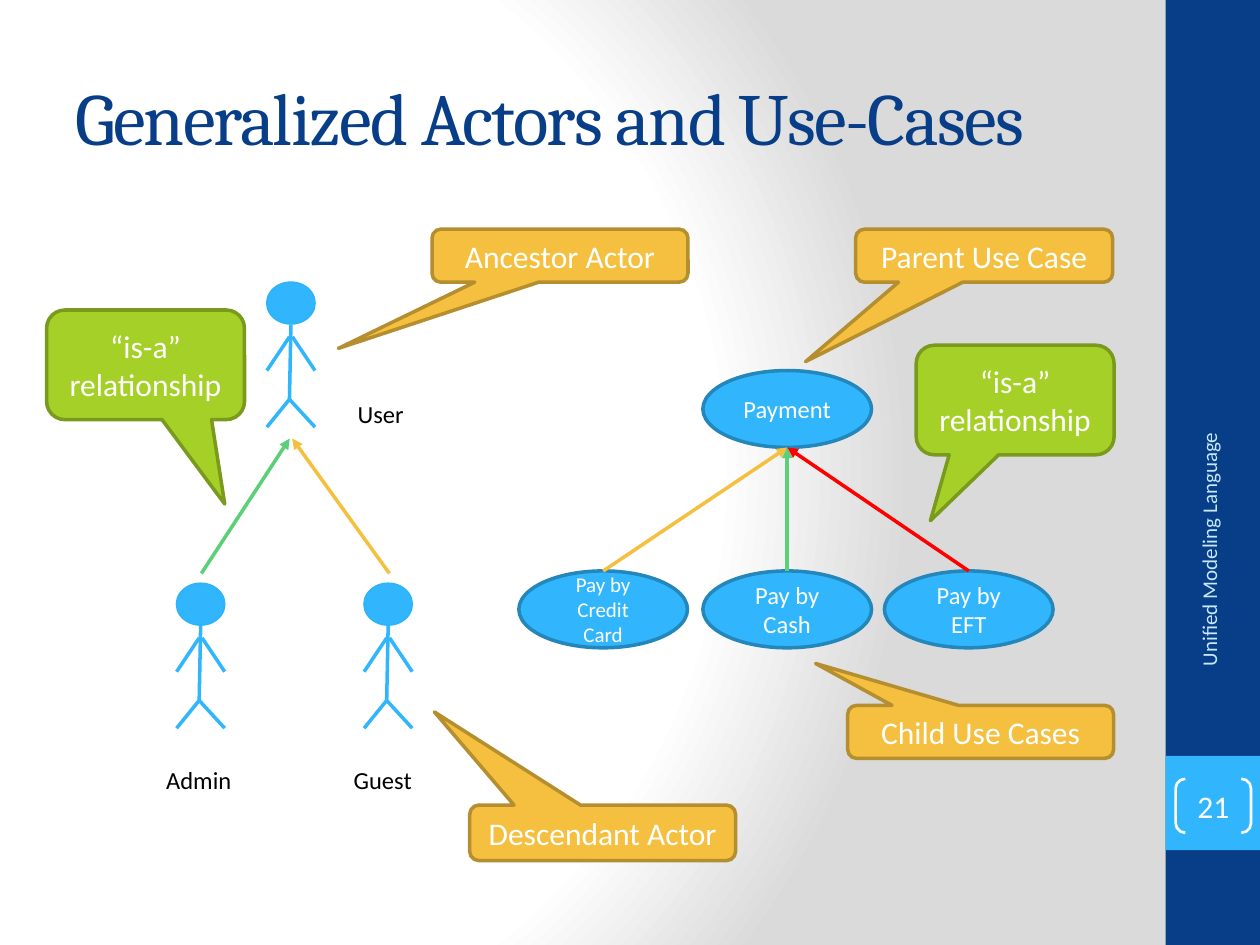
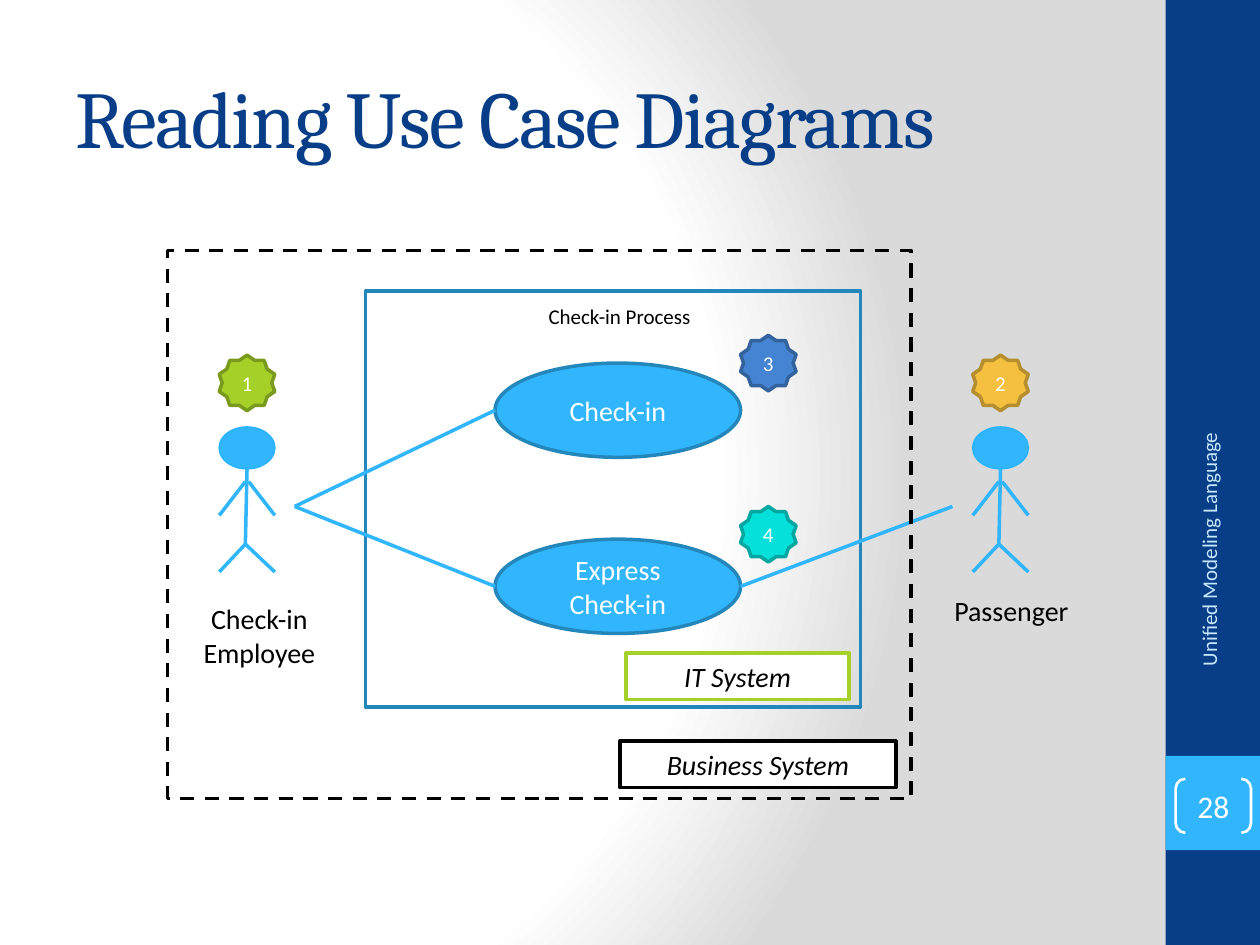
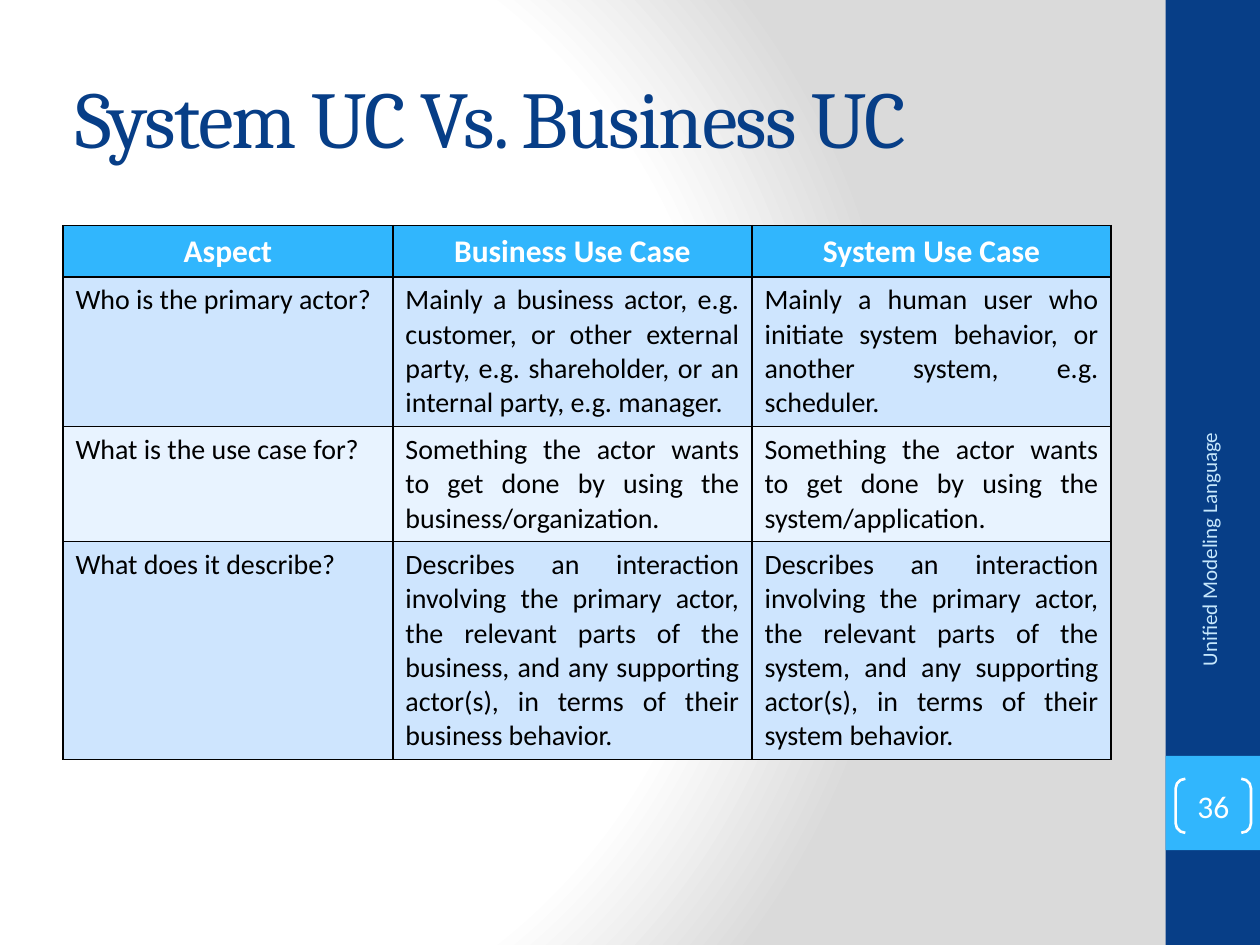
"""Build three slides about use case diagrams."""
from dataclasses import dataclass
from typing import Any, NamedTuple, Optional

import lxml.etree
import pptx
import pptx.dml.color
import pptx.enum.dml
import pptx.enum.shapes
import pptx.enum.text
import pptx.oxml
import pptx.oxml.ns
import pptx.util

RGBColor = pptx.dml.color.RGBColor
Cm = pptx.util.Cm
Forms = pptx.enum.shapes.MSO_SHAPE
Align = pptx.enum.text.PP_ALIGN
Anchor = pptx.enum.text.MSO_ANCHOR
qn = pptx.oxml.ns.qn

NAVY = RGBColor(0x07, 0x3E, 0x87)
SKY = RGBColor(0x31, 0xB6, 0xFD)
SKY_EDGE = RGBColor(0x24, 0x87, 0xBB)
HEAD_EDGE = RGBColor(0x2B, 0xB4, 0xFC)
PALE_BLUE = RGBColor(0xC6, 0xE7, 0xFC)
GOLD = RGBColor(0xF5, 0xC0, 0x40)
GOLD_EDGE = RGBColor(0xB5, 0x8E, 0x2F)
LIME = RGBColor(0xA5, 0xD0, 0x28)
LIME_EDGE = RGBColor(0x7A, 0x9A, 0x1E)
BLUE = RGBColor(0x45, 0x84, 0xD3)
BLUE_EDGE = RGBColor(0x33, 0x62, 0x9C)
TEAL = RGBColor(0x05, 0xE0, 0xDB)
TEAL_EDGE = RGBColor(0x04, 0xA6, 0xA2)
GREEN = RGBColor(0x5B, 0xD0, 0x78)
RED = RGBColor(0xFF, 0x00, 0x00)
BLACK = RGBColor(0x00, 0x00, 0x00)
WHITE = RGBColor(0xFF, 0xFF, 0xFF)
ROW_DARK = RGBColor(0xCE, 0xE5, 0xFE)
ROW_LIGHT = RGBColor(0xE8, 0xF3, 0xFF)

BODY_FONT = "Calibri"
TITLE_FONT = "Cambria"

BACKDROP = f"""<a:gradFill {pptx.oxml.ns.nsdecls('a')} rotWithShape="1"><a:gsLst>
<a:gs pos="0"><a:srgbClr val="FFFFFF"/></a:gs>
<a:gs pos="75000"><a:srgbClr val="FFFFFF"/></a:gs>
<a:gs pos="100000"><a:srgbClr val="DADADA"/></a:gs></a:gsLst>
<a:path path="circle"><a:fillToRect l="20000" t="50000" r="100000" b="50000"/></a:path>
</a:gradFill>"""


class Box(NamedTuple):
    """Left, top, width and height in centimetres."""

    left: float
    top: float
    width: float
    height: float


class Paint(NamedTuple):
    """Fill and outline of a shape."""

    fill: Optional[RGBColor] = None
    edge: Optional[RGBColor] = None
    weight: float = 2


@dataclass(frozen=True)
class Lettering:
    """Look of a piece of text."""

    size: float
    color: RGBColor = WHITE
    align: Any = Align.CENTER
    anchor: Any = Anchor.MIDDLE
    font: str = BODY_FONT
    bold: bool = False
    italic: bool = False


@dataclass(frozen=True)
class Figure:
    """A preset shape, or a text box when it has no form."""

    box: Box
    form: Any = None
    paint: Paint = Paint()
    text: str = ""
    lettering: Lettering = Lettering(16)
    adjustments: tuple[float, ...] = ()


@dataclass(frozen=True)
class Line:
    """A straight line between two points in centimetres."""

    start: tuple[float, float]
    end: tuple[float, float]
    color: RGBColor = SKY
    arrow: bool = False


class Actor(NamedTuple):
    """Place and width of a stick figure."""

    left: float
    top: float
    width: float


SKY_PAINT = Paint(SKY, SKY_EDGE)
GOLD_PAINT = Paint(GOLD, GOLD_EDGE)
LIME_PAINT = Paint(LIME, LIME_EDGE)
CALLOUT_TEXT = Lettering(18)
BADGE_TEXT = Lettering(12)
USE_CASE_TEXT = Lettering(14)
ACTOR_NAME = Lettering(14, BLACK, Align.LEFT, Anchor.TOP)
CENTERED_NAME = Lettering(16, BLACK, anchor=Anchor.TOP)
SYSTEM_NAME = Lettering(16, BLACK, italic=True)
SIDE_TEXT = Lettering(12, PALE_BLUE, Align.RIGHT)
HEADER_TEXT = Lettering(18, bold=True)
ASPECT_TEXT = Lettering(16, BLACK, Align.LEFT, Anchor.TOP)
ANSWER_TEXT = Lettering(16, BLACK, Align.JUSTIFY, Anchor.TOP)


def set_format(target: Any, values: dict[str, Any]) -> None:
    """Set each named attribute of the target."""
    for name, value in values.items():
        setattr(target, name, value)


def write(text_frame: Any, text: str, lettering: Lettering) -> Any:
    """Write one paragraph and return its run."""
    paragraph = text_frame.paragraphs[0]
    paragraph.alignment = lettering.align
    run = paragraph.add_run()
    run.text = text
    set_format(run.font, {
        "name": lettering.font,
        "size": pptx.util.Pt(lettering.size),
        "bold": lettering.bold,
        "italic": lettering.italic,
    })
    run.font.color.rgb = lettering.color
    return run


def draw_figure(slide: Any, figure: Figure) -> Any:
    """Draw a shape or text box with its text."""
    place = [Cm(length) for length in figure.box]
    if figure.form is None:
        shape = slide.shapes.add_textbox(*place)
    else:
        shape = slide.shapes.add_shape(figure.form, *place)
        shape.shadow.inherit = False
    for index, value in enumerate(figure.adjustments):
        shape.adjustments[index] = value
    if figure.paint.fill is None:
        shape.fill.background()
    else:
        shape.fill.solid()
        shape.fill.fore_color.rgb = figure.paint.fill
    if figure.paint.edge is None:
        shape.line.fill.background()
    else:
        shape.line.color.rgb = figure.paint.edge
        shape.line.width = pptx.util.Pt(figure.paint.weight)
    if figure.text:
        set_format(shape.text_frame, {
            "word_wrap": True,
            "vertical_anchor": figure.lettering.anchor,
        })
        write(shape.text_frame, figure.text, figure.lettering)
    return shape


def draw_line(slide: Any, line: Line) -> Any:
    """Draw a straight connector, with an arrowhead if asked."""
    points = [Cm(length) for length in (*line.start, *line.end)]
    connector = slide.shapes.add_connector(pptx.enum.shapes.MSO_CONNECTOR.STRAIGHT, *points)
    connector.line.color.rgb = line.color
    connector.line.width = pptx.util.Pt(2)
    properties = connector.element.spPr
    if line.arrow:
        lxml.etree.SubElement(properties.find(qn("a:ln")), qn("a:tailEnd"), type="triangle")
    lxml.etree.SubElement(properties, qn("a:effectLst"))
    return connector


def draw_actor(slide: Any, actor: Actor) -> None:
    """Draw a stick figure."""
    left, top, width = actor
    draw_figure(slide, Figure(Box(left, top, width, 0.84), Forms.OVAL, Paint(SKY, HEAD_EDGE, 1)))
    middle, right = left + width / 2, left + width
    hip = (left + 0.47 * width, top + 2.36)
    shoulder = top + 1.1
    limbs = [
        ((middle, top + 0.85), hip),
        (hip, (left, top + 2.92)),
        (hip, (right, top + 2.92)),
        ((left + 0.53 * width, shoulder), (right, top + 1.78)),
        ((left, top + 1.78), (hip[0], shoulder)),
    ]
    for start, end in limbs:
        draw_line(slide, Line(start, end))


def start_slide(presentation: Any, title: str, number: int, title_size: float = 46) -> Any:
    """Add a slide with its title, side band and number."""
    slide = presentation.slides.add_slide(presentation.slide_layouts[6])
    for top, height, color in ((0, 19.05, NAVY), (15.24, 1.9, SKY)):
        draw_figure(slide, Figure(Box(23.5, top, 1.9, height), Forms.RECTANGLE, Paint(color)))
    heading = draw_figure(slide, Figure(
        Box(1.27, 0.76, 21.16, 3.18), text=title,
        lettering=Lettering(title_size, NAVY, Align.LEFT, font=TITLE_FONT)))
    heading.text_frame.paragraphs[0].runs[0].font._element.set("spc", "-100")
    side = draw_figure(slide, Figure(
        Box(21.08, 11.25, 6.58, 1.02), text="Unified Modeling Language", lettering=SIDE_TEXT))
    side.rotation = 270
    bracket = draw_figure(slide, Figure(
        Box(23.7, 15.7, 1.52, 1.09), Forms.DOUBLE_BRACKET, Paint(None, WHITE, 1.5),
        str(number), CALLOUT_TEXT, (0.18,)))
    set_format(bracket.text_frame, {
        f"margin_{edge}": Cm(0) for edge in ("left", "top", "right", "bottom")
    })
    return slide


def build_generalization(presentation: Any) -> None:
    """Build the slide on generalized actors and use cases."""
    slide = start_slide(presentation, "Generalized Actors and Use-Cases", 21, 42)
    parent_bottom = (15.87, 9.02)
    draw_figure(slide, Figure(
        Box(14.17, 7.47, 3.4, 1.55), Forms.OVAL, SKY_PAINT, "Payment", USE_CASE_TEXT))
    children = [
        (10.46, "Pay by Credit Card", BADGE_TEXT, GOLD),
        (14.17, "Pay by Cash", USE_CASE_TEXT, GREEN),
        (17.83, "Pay by EFT", USE_CASE_TEXT, RED),
    ]
    for left, text, lettering, color in children:
        box = Box(left, 11.51, 3.4, 1.55)
        child = draw_figure(slide, Figure(box, Forms.OVAL, SKY_PAINT, text, lettering))
        top_middle = (left + box.width / 2, box.top)
        connector = draw_line(slide, Line(top_middle, parent_bottom, color, True))
        connector.begin_connect(child, 0)

    for actor in (Actor(3.56, 11.76, 0.97), Actor(7.34, 11.76, 0.97), Actor(5.38, 5.69, 0.97)):
        draw_actor(slide, actor)
    draw_line(slide, Line((4.06, 11.56), (5.84, 8.84), GREEN, True))
    draw_line(slide, Line((7.85, 11.56), (5.89, 8.84), GOLD, True))
    for left, top, name in ((6.96, 7.92, "User"), (3.1, 15.29, "Admin"), (6.88, 15.29, "Guest")):
        draw_figure(slide, Figure(Box(left, top, 1.9, 0.86), text=name, lettering=ACTOR_NAME))

    relationship = "“is-a” relationship"
    callouts = [
        (Box(17.25, 4.62, 5.18, 1.07), "Parent Use Case", GOLD_PAINT, (-0.695, 1.997)),
        (Box(17.09, 14.22, 5.36, 1.07), "Child Use Cases", GOLD_PAINT, (-0.621, -1.289)),
        (Box(9.47, 16.23, 5.36, 1.12), "Descendant Actor", GOLD_PAINT, (-0.633, -2.176)),
        (Box(8.71, 4.62, 5.16, 1.07), "Ancestor Actor", GOLD_PAINT, (-0.866, 1.747)),
        (Box(0.94, 6.25, 3.99, 2.21), relationship, LIME_PAINT, (0.4, 1.27)),
        (Box(18.47, 6.96, 3.99, 2.21), relationship, LIME_PAINT, (-0.428, 1.1)),
    ]
    for box, text, paint, pointer in callouts:
        draw_figure(slide, Figure(
            box, Forms.ROUNDED_RECTANGULAR_CALLOUT, paint, text, CALLOUT_TEXT, pointer))


def build_diagram(presentation: Any) -> None:
    """Build the slide with the check-in diagram."""
    slide = start_slide(presentation, "Reading Use Case Diagrams", 28)
    draw_figure(slide, Figure(
        Box(7.37, 5.87, 9.98, 8.38), Forms.RECTANGLE, Paint(None, SKY_EDGE)))
    for top, text in ((7.32, "Check-in"), (10.87, "Express Check-in")):
        draw_figure(slide, Figure(Box(9.98, top, 4.95, 1.9), Forms.OVAL, SKY_PAINT, text))
    for left in (4.42, 19.61):
        draw_actor(slide, Actor(left, 8.61, 1.12))
    employee_hand = (5.94, 10.21)
    for start, end in (
        (employee_hand, (9.98, 8.27)),
        (employee_hand, (9.98, 11.82)),
        ((14.93, 11.82), (19.2, 10.21)),
    ):
        draw_line(slide, Line(start, end))

    names = [
        (Box(18.75, 11.84, 3.28, 0.94), "Passenger", CENTERED_NAME),
        (Box(3.58, 12.01, 3.3, 1.63), "Check-in Employee", CENTERED_NAME),
        (Box(10.24, 5.99, 4.5, 0.76), "Check-in Process", Lettering(12, BLACK, anchor=Anchor.TOP)),
    ]
    for box, text, lettering in names:
        draw_figure(slide, Figure(box, text=text, lettering=lettering))

    badges = [
        (4.42, 7.16, LIME_PAINT),
        (19.61, 7.16, GOLD_PAINT),
        (14.93, 6.76, Paint(BLUE, BLUE_EDGE)),
        (14.93, 10.21, Paint(TEAL, TEAL_EDGE)),
    ]
    for number, (left, top, paint) in enumerate(badges, 1):
        draw_figure(slide, Figure(
            Box(left, top, 1.12, 1.12), Forms.STAR_10_POINT, paint, str(number), BADGE_TEXT))

    boundary = draw_figure(slide, Figure(
        Box(3.38, 5.05, 14.99, 11.05), Forms.RECTANGLE, Paint(None, BLACK)))
    boundary.line.dash_style = pptx.enum.dml.MSO_LINE.DASH
    for box, text, edge in (
        (Box(12.5, 14.94, 5.56, 0.94), "Business System", BLACK),
        (Box(12.62, 13.16, 4.5, 0.94), "IT System", LIME),
    ):
        draw_figure(slide, Figure(box, Forms.RECTANGLE, Paint(WHITE, edge), text, SYSTEM_NAME))


def fill_cell(cell: Any, text: str, lettering: Lettering, color: RGBColor) -> None:
    """Give a table cell its borders, fill and text."""
    properties = cell._tc.get_or_add_tcPr()
    for side in ("lnL", "lnR", "lnT", "lnB"):
        border = lxml.etree.SubElement(properties, qn(f"a:{side}"), w=str(pptx.util.Pt(1)))
        fill = lxml.etree.SubElement(border, qn("a:solidFill"))
        lxml.etree.SubElement(fill, qn("a:srgbClr"), val=str(BLACK))
    cell.fill.solid()
    cell.fill.fore_color.rgb = color
    cell.vertical_anchor = lettering.anchor
    write(cell.text_frame, text, lettering)


def build_comparison(presentation: Any) -> None:
    """Build the slide with the comparison table."""
    slide = start_slide(presentation, "System UC Vs. Business UC", 36)
    rows = [
        ("Aspect", "Business Use Case", "System Use Case"),
        ("Who is the primary actor?",
         "Mainly a business actor, e.g. customer, or other external party, "
         "e.g. shareholder, or an internal party, e.g. manager.",
         "Mainly a human user who initiate system behavior, or another system, e.g. scheduler."),
        ("What is the use case for?",
         *(f"Something the actor wants to get done by using the {target}."
           for target in ("business/organization", "system/application"))),
        ("What does it describe?",
         *("Describes an interaction involving the primary actor, the relevant parts of the "
           f"{target}, and any supporting actor(s), in terms of their {target} behavior."
           for target in ("business", "system"))),
    ]
    widths = (6.65, 7.24, 7.24)
    heights = (1.03, 3.02, 2.32, 4.39)
    table = slide.shapes.add_table(
        len(rows), len(widths), Cm(1.27), Cm(4.55), Cm(sum(widths)), Cm(sum(heights))).table
    for column, width in zip(table.columns, widths):
        column.width = Cm(width)
    for row, height in zip(table.rows, heights):
        row.height = Cm(height)
    for row_index, texts in enumerate(rows):
        for column_index, text in enumerate(texts):
            if row_index == 0:
                lettering, color = HEADER_TEXT, SKY
            else:
                lettering = ANSWER_TEXT if column_index else ASPECT_TEXT
                color = ROW_DARK if row_index % 2 else ROW_LIGHT
            fill_cell(table.cell(row_index, column_index), text, lettering, color)


def set_backdrop(presentation: Any) -> None:
    """Give the slide master a radial gradient."""
    master = presentation.slide_master
    master.background.fill.gradient()
    gradient = master.element.find(f".//{qn('p:bgPr')}/{qn('a:gradFill')}")
    gradient.getparent().replace(gradient, pptx.oxml.parse_xml(BACKDROP))


def main() -> None:
    """Build and save the presentation."""
    presentation = pptx.Presentation()
    set_format(presentation, {"slide_width": Cm(25.4), "slide_height": Cm(19.05)})
    set_backdrop(presentation)
    build_generalization(presentation)
    build_diagram(presentation)
    build_comparison(presentation)
    presentation.save("out.pptx")


if __name__ == "__main__":
    main()
